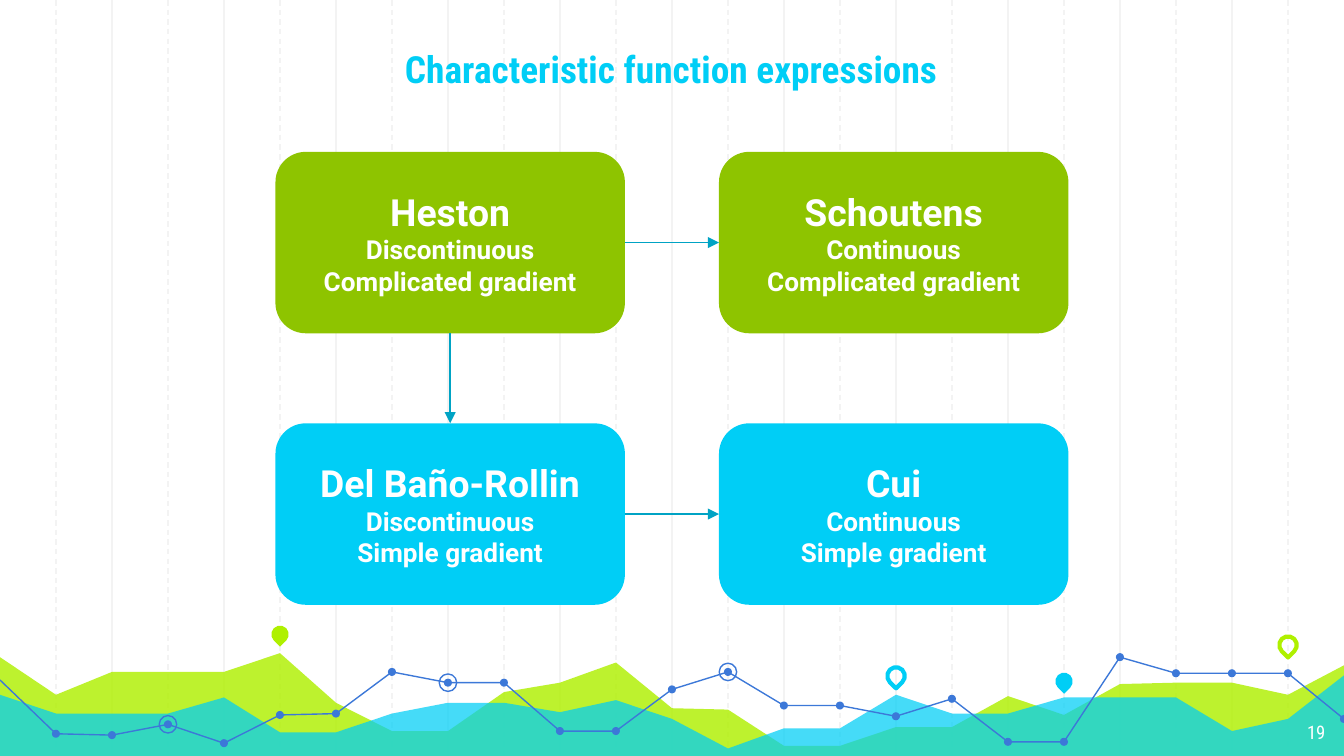
from lxml import etree
from pptx import Presentation
from pptx.dml.color import RGBColor
from pptx.enum.dml import MSO_LINE
from pptx.enum.shapes import MSO_CONNECTOR, MSO_SHAPE
from pptx.enum.text import MSO_ANCHOR, PP_ALIGN
from pptx.oxml.ns import qn
from pptx.util import Inches, Pt

STRAIGHT = MSO_CONNECTOR.STRAIGHT
ROUNDED, OVAL, TEAR = MSO_SHAPE.ROUNDED_RECTANGLE, MSO_SHAPE.OVAL, MSO_SHAPE.TEAR
DASH = MSO_LINE.DASH
CENTER, RIGHT = PP_ALIGN.CENTER, PP_ALIGN.RIGHT
TOP, MIDDLE, BOTTOM = MSO_ANCHOR.TOP, MSO_ANCHOR.MIDDLE, MSO_ANCHOR.BOTTOM
SIDE_TOP, SIDE_LEFT, SIDE_BOTTOM, SIDE_RIGHT = range(4)

WHITE = RGBColor(0xFF, 0xFF, 0xFF)
GRID = RGBColor(0xF3, 0xF3, 0xF3)
LIME = RGBColor(0xAF, 0xF0, 0x00)
GREEN = RGBColor(0x8E, 0xC4, 0x00)
CYAN = RGBColor(0x00, 0xCE, 0xF6)
TEAL = RGBColor(0x00, 0xA3, 0xC4)
BLUE = RGBColor(0x3C, 0x78, 0xD8)
HEAD_FONT, BODY_FONT = "Roboto Condensed", "Roboto"

# Heights of the footer curves, one per grid column
COLUMNS = 24
LIME_AREA = [4.87, 5.17, 5, 5, 5, 4.86, 5.23, 5.44, 5.44, 5.15, 5.08, 4.93, 5.27,
             5.28, 5.55, 5.55, 5.41, 5.41, 5.18, 5.32, 5.09, 5.08, 5.08, 5.17, 4.94]
CYAN_AREA = [5.16, 5.31, 5.31, 5.31, 5.19, 5.45, 5.45, 5.31, 5.23, 5.23, 5.3, 5.21, 5.35,
             5.57, 5.42, 5.42, 5.17, 5.31, 5.31, 5.19, 5.19, 5.19, 5.44, 5.35, 5.01]
TREND = [5.06, 5.46, 5.47, 5.39, 5.53, 5.32, 5.31, 5, 5.08, 5.08, 5.44, 5.44, 5.13,
         5, 5.25, 5.25, 5.33, 5.2, 5.52, 5.52, 4.89, 5.01, 5.01, 5.01, 5.35]
RINGED = (3, 8, 13)
PINS = [(5, 4.72, LIME, True), (16, 5.03, CYAN, False),
        (19, 5.07, CYAN, True), (23, 4.8, LIME, False)]

# Name, column, row, colour, properties
BOXES = [
    ("Schoutens", 1, 0, GREEN, ("Continuous", "Complicated gradient")),
    ("Cui", 1, 1, CYAN, ("Continuous", "Simple gradient")),
    ("Heston", 0, 0, GREEN, ("Discontinuous", "Complicated gradient")),
    ("Del Baño-Rollin", 0, 1, CYAN, ("Discontinuous", "Simple gradient")),
]
ARROWS = [
    ("Heston", SIDE_RIGHT, "Schoutens", SIDE_LEFT),
    ("Del Baño-Rollin", SIDE_RIGHT, "Cui", SIDE_LEFT),
    ("Heston", SIDE_BOTTOM, "Del Baño-Rollin", SIDE_TOP),
]


def column_x(col):
    return col * 10 / COLUMNS


def curve(heights):
    return [(column_x(col), y) for col, y in enumerate(heights)]


def add_text(p, text, size=14, font=BODY_FONT, color=WHITE, bold=False, align=CENTER):
    p.alignment = align
    r = p.add_run()
    r.text = text
    r.font.size, r.font.name, r.font.bold = Pt(size), font, bold
    r.font.color.rgb = color


class Deck:
    def __init__(self):
        self.prs = Presentation()
        self.prs.slide_width = Inches(10)
        self.prs.slide_height = Inches(10 * 9 / 16)
        self.s = self.prs.slides.add_slide(self.prs.slide_layouts[5])

    def paint(self, sp, fill=None, line=None, width=0.75, alpha=None):
        sp.shadow.inherit = False
        if fill is None:
            sp.fill.background()
        else:
            sp.fill.solid()
            sp.fill.fore_color.rgb = fill
        if alpha:
            clr = sp.element.spPr.find(".//" + qn("a:srgbClr"))
            etree.SubElement(clr, qn("a:alpha"), val=str(alpha * 1000))
        if line is None:
            sp.line.fill.background()
        else:
            sp.line.color.rgb = line
            sp.line.width = Pt(width)

    def frame(self, sp, anchor):
        tf = sp.text_frame
        tf.word_wrap = True
        tf.vertical_anchor = anchor
        tf.margin_left = tf.margin_right = tf.margin_top = tf.margin_bottom = Inches(0.1)
        return tf

    def title(self, text):
        sp = self.s.shapes.title
        sp.left, sp.top, sp.width, sp.height = map(Inches, (1.17, 0, 7.65, 0.78))
        add_text(self.frame(sp, BOTTOM).paragraphs[0], text, 20, HEAD_FONT, CYAN, True)
        self.s.shapes.element.append(sp.element)  # in front of the backdrop

    def label(self, text, x, y, w, h, **style):
        sp = self.s.shapes.add_textbox(*map(Inches, (x, y, w, h)))
        add_text(self.frame(sp, TOP).paragraphs[0], text, **style)

    def line(self, x1, y1, x2, y2, color, dash=None):
        c = self.s.shapes.add_connector(STRAIGHT, *map(Inches, (x1, y1, x2, y2)))
        c.line.color.rgb, c.line.width = color, Pt(0.75)
        if dash:
            c.line.dash_style = dash
        etree.SubElement(c.element.spPr, qn("a:effectLst"))
        return c

    def arrow(self, start, start_side, end, end_side):
        c = self.line(0, 0, 1, 1, TEAL)
        c.begin_connect(start, start_side)
        c.end_connect(end, end_side)
        ln = c.element.spPr.find(qn("a:ln"))
        etree.SubElement(ln, qn("a:tailEnd"), type="triangle")

    def outline(self, points, close, **style):
        start, *rest = [(Inches(x), Inches(y)) for x, y in points]
        fb = self.s.shapes.build_freeform(*start)
        fb.add_line_segments(rest, close=close)
        self.paint(fb.convert_to_shape(), **style)

    def marker(self, kind, x, y, size, rotation=0, **style):
        sp = self.s.shapes.add_shape(
            kind, *map(Inches, (x - size / 2, y - size / 2, size, size)))
        sp.rotation = rotation
        self.paint(sp, **style)

    def box(self, name, col, row, color, lines):
        sp = self.s.shapes.add_shape(
            ROUNDED, *map(Inches, (2.05 + 3.3 * col, 1.13 + 2.02 * row, 2.6, 1.35)))
        self.paint(sp, fill=color)
        tf = self.frame(sp, MIDDLE)
        add_text(tf.paragraphs[0], name, size=20, bold=True)
        for text in lines:
            add_text(tf.add_paragraph(), text, bold=True)
        return sp


def main():
    d = Deck()

    # Background grid: solid on even columns, dashed on odd ones
    for first, dash in ((2, None), (1, DASH)):
        for col in range(first, COLUMNS, 2):
            d.line(column_x(col), 0, column_x(col), 5.65, GRID, dash)

    # Footer: areas, pins, trend line with dots and rings
    for heights, color, alpha in ((LIME_AREA, LIME, 82), (CYAN_AREA, CYAN, 73)):
        points = [(-0.03, heights[0])] + curve(heights)[1:-1] + [(10.02, heights[-1])]
        d.outline(points + [(10.02, 5.65), (-0.03, 5.65)], True, fill=color, alpha=alpha)
    for col, y, color, solid in PINS:
        style = {"fill": color} if solid else {"line": color, "width": 2.25}
        d.marker(TEAR, column_x(col), y, 0.13, 135, **style)
    d.outline(curve(TREND), False, line=BLUE)
    for x, y in curve(TREND)[1:]:
        d.marker(OVAL, x, y, 0.06, fill=BLUE)
    for col in RINGED:
        d.marker(OVAL, column_x(col), TREND[col], 0.13, line=BLUE)

    # Title and page number
    d.title("Characteristic function expressions")
    d.label("19", 9.36, 5.28, 0.6, 0.35, size=10, font=HEAD_FONT, align=RIGHT)

    # Diagram
    boxes = {box[0]: d.box(*box) for box in BOXES}
    for start, start_side, end, end_side in ARROWS:
        d.arrow(boxes[start], start_side, boxes[end], end_side)

    d.prs.save("out.pptx")


if __name__ == "__main__":
    main()
